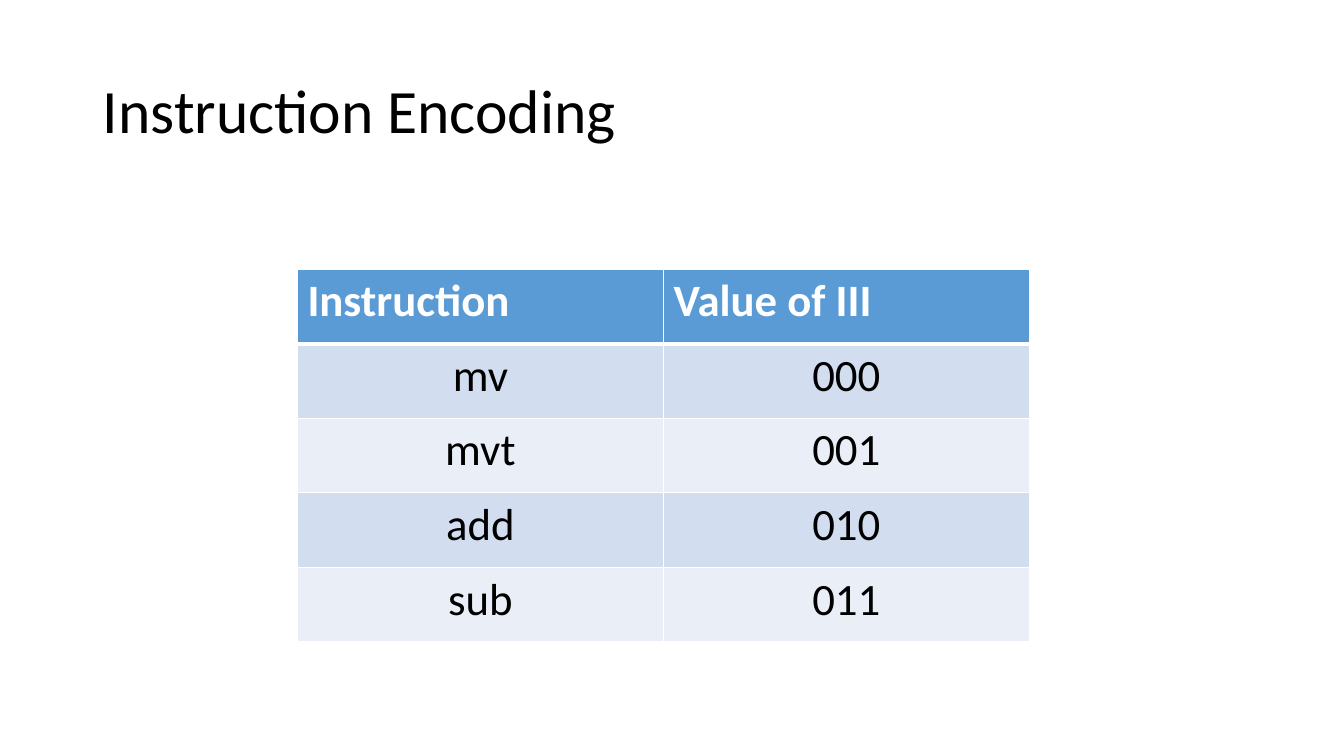
from lxml import etree
from pptx import Presentation
from pptx.dml.color import RGBColor
from pptx.enum.text import MSO_ANCHOR, PP_ALIGN
from pptx.oxml.ns import qn
from pptx.util import Inches, Pt

LEFT, CENTER = PP_ALIGN.LEFT, PP_ALIGN.CENTER
MIDDLE = MSO_ANCHOR.MIDDLE

TITLE = "Instruction Encoding"
ENCODING = [
    ("Instruction", "Value of III"),
    ("mv", "000"),
    ("mvt", "001"),
    ("add", "010"),
    ("sub", "011"),
]
FONT = "Calibri"
BLACK, WHITE = "000000", "FFFFFF"
HEADER_FILL = "5B9BD5"
BAND_FILLS = ("EAEFF7", "D2DEEF")
TABLE_LEFT, TABLE_TOP = 2.95, 2.67
COLUMN_WIDTH, ROW_HEIGHT = 3.63, 0.74


def color(value):
    return RGBColor.from_string(value)


def style(paragraph, size, text_color, alignment, bold=False):
    paragraph.alignment = alignment
    font = paragraph.font
    font.name, font.size, font.bold = FONT, Pt(size), bold
    font.color.rgb = color(text_color)


def add_borders(cell, bottom_width):
    properties = cell._tc.get_or_add_tcPr()
    widths = {"a:lnL": 1, "a:lnR": 1, "a:lnT": 1, "a:lnB": bottom_width}
    for tag, width in widths.items():
        line = etree.SubElement(properties, qn(tag), w=str(Pt(width)))
        fill = etree.SubElement(line, qn("a:solidFill"))
        etree.SubElement(fill, qn("a:srgbClr"), val=WHITE)


def add_title(slide):
    title = slide.shapes.title
    title.left, title.top = Inches(0.92), Inches(0.4)
    title.width, title.height = Inches(11.5), Inches(1.45)
    title.text_frame.text = TITLE
    title.text_frame.vertical_anchor = MIDDLE
    paragraph = title.text_frame.paragraphs[0]
    paragraph.line_spacing = 0.9
    style(paragraph, 44, BLACK, LEFT)


def add_encoding_table(slide):
    rows, columns = len(ENCODING), len(ENCODING[0])
    table = slide.shapes.add_table(
        rows, columns, Inches(TABLE_LEFT), Inches(TABLE_TOP),
        Inches(columns * COLUMN_WIDTH), Inches(rows * ROW_HEIGHT)).table
    for row, values in enumerate(ENCODING):
        header = row == 0
        for column, value in enumerate(values):
            cell = table.cell(row, column)
            cell.text = value
            add_borders(cell, 3 if header else 1)
            cell.fill.solid()
            cell.fill.fore_color.rgb = color(HEADER_FILL if header else BAND_FILLS[row % 2])
            style(cell.text_frame.paragraphs[0], 32, WHITE if header else BLACK,
                  LEFT if header else CENTER, header)


def main():
    presentation = Presentation()
    presentation.slide_width, presentation.slide_height = Inches(13.33), Inches(7.5)
    slide = presentation.slides.add_slide(presentation.slide_layouts[5])
    add_title(slide)
    add_encoding_table(slide)
    presentation.save("out.pptx")


if __name__ == "__main__":
    main()
